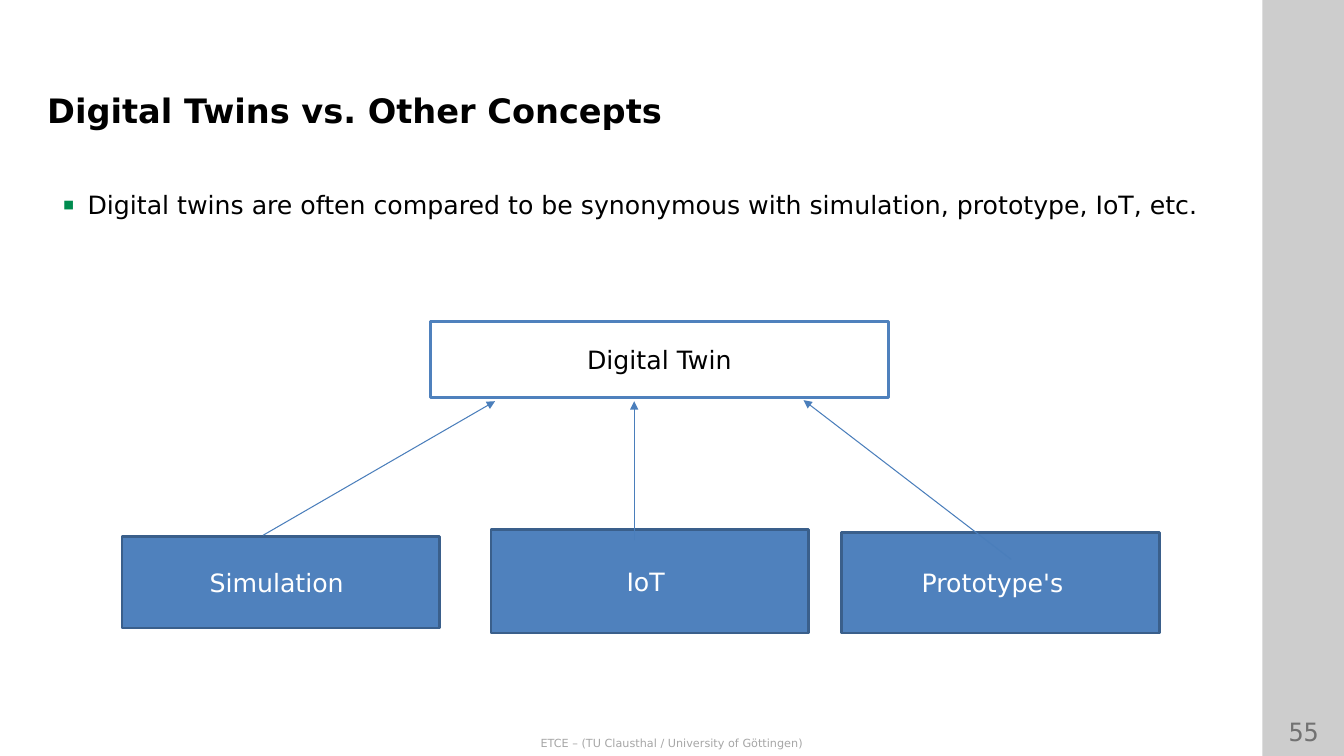
from pptx import Presentation
from pptx.dml.color import RGBColor
from pptx.enum.shapes import MSO_CONNECTOR, MSO_SHAPE
from pptx.enum.text import MSO_ANCHOR, PP_ALIGN
from pptx.oxml.ns import qn
from pptx.util import Pt
from lxml import etree

PX = 9144
RECTANGLE = MSO_SHAPE.RECTANGLE
STRAIGHT = MSO_CONNECTOR.STRAIGHT
TOP, MIDDLE = MSO_ANCHOR.TOP, MSO_ANCHOR.MIDDLE
LEFT, CENTER = PP_ALIGN.LEFT, PP_ALIGN.CENTER
SANS, MONO = "DejaVu Sans", "DejaVu Sans Mono"
BLUE, DARK_BLUE, ARROW_BLUE = "4F81BD", "3A5F8B", "4A7EBB"


def color(value):
    return RGBColor.from_string(value)


def lengths(values):
    return [value * PX for value in values]


def add_xml(parent, tag, **attributes):
    return etree.SubElement(parent, qn(tag), attributes)


def add_box(slide, box, fill, line=None):
    shape = slide.shapes.add_shape(RECTANGLE, *lengths(box))
    shape.shadow.inherit = False
    shape.fill.solid()
    shape.fill.fore_color.rgb = color(fill)
    if line:
        shape.line.color.rgb = color(line)
        shape.line.width = Pt(2)
    else:
        shape.line.fill.background()
    return shape


def write(shape, text, size, text_color, bold=False, font=SANS,
          align=CENTER, anchor=TOP, insets=(10, 5, 10, 5)):
    frame = shape.text_frame
    left, top, right, bottom = lengths(insets)
    frame_format = {"word_wrap": True, "vertical_anchor": anchor,
                    "margin_left": left, "margin_top": top,
                    "margin_right": right, "margin_bottom": bottom}
    for name, value in frame_format.items():
        setattr(frame, name, value)
    paragraph = frame.paragraphs[0]
    paragraph.alignment = align
    run = paragraph.add_run()
    run.text = text
    font_format = {"size": Pt(size), "name": font, "bold": bold}
    for name, value in font_format.items():
        setattr(run.font, name, value)
    run.font.color.rgb = color(text_color)
    return paragraph


def add_text(slide, box, text, size, text_color, **options):
    shape = slide.shapes.add_textbox(*lengths(box))
    return write(shape, text, size, text_color, **options)


def add_band(slide, box):
    band = add_box(slide, box, "000000")
    fill_color = band.fill._xPr.find(".//" + qn("a:srgbClr"))
    add_xml(fill_color, "a:alpha", val="10000")


def add_sidebar(slide, box, number):
    left, top, width, height = box
    add_band(slide, box)
    add_text(slide, (left, top + height - 44, width, 44), number, 18,
             "808080", font=MONO)
    add_band(slide, box)


def add_footer(slide, box, text):
    add_text(slide, box, text, 8, "A6A6A6")


def add_title(slide, box, text):
    add_text(slide, box, text, 24, "000000", bold=True, align=LEFT)


def add_bullet_text(slide, box, text):
    paragraph = add_text(slide, box, text, 18, "000000", align=LEFT,
                         insets=(10, 36, 10, 5))
    properties = paragraph._p.get_or_add_pPr()
    properties.set("marL", str(24 * PX))
    properties.set("indent", str(-24 * PX))
    bullet_color = add_xml(properties, "a:buClr")
    add_xml(bullet_color, "a:srgbClr", val="008C4F")
    add_xml(properties, "a:buSzPct", val="45000")
    add_xml(properties, "a:buFont", typeface=SANS)
    add_xml(properties, "a:buChar", char="■")


def add_arrow(slide, start, end):
    arrow = slide.shapes.add_connector(STRAIGHT, *lengths(start + end))
    arrow.line.color.rgb = color(ARROW_BLUE)
    arrow.line.width = Pt(0.75)
    add_xml(arrow.line._get_or_add_ln(), "a:tailEnd", type="triangle")
    add_xml(arrow._element.spPr, "a:effectLst")


def add_concept_diagram(slide, box):
    left, top, width, height = box
    concepts = [
        ("Simulation", (0, 213, 315, 91), 18, (140, 212), (370, 79)),
        ("IoT", (366, 206, 315, 103), 18, (508, 217), (508, 79)),
        ("Prototype's", (714, 209, 315, 100), 26, (882, 236), (676, 78)),
    ]
    for label, (x, y, box_width, box_height), right_inset, _, _ in concepts:
        shape = add_box(slide, (left + x, top + y, box_width, box_height),
                        BLUE, DARK_BLUE)
        write(shape, label, 18, "FFFFFF", anchor=MIDDLE,
              insets=(10, 5, right_inset, 5))
    for *_, start, end in concepts:
        add_arrow(slide, (left + start[0], top + start[1]),
                  (left + end[0], top + end[1]))
    twin = add_box(slide, (left + 306, top, 454, 75), "FFFFFF", BLUE)
    write(twin, "Digital Twin", 18, "000000", anchor=MIDDLE)


def main():
    presentation = Presentation()
    presentation.slide_width, presentation.slide_height = lengths((1333, 750))
    slide = presentation.slides.add_slide(presentation.slide_layouts[6])
    add_sidebar(slide, (1252, 0, 82, 750), "55")
    add_footer(slide, (0, 726, 1333, 23),
               "ETCE – (TU Clausthal / University of Göttingen)")
    add_concept_diagram(slide, (121, 319, 1029, 309))
    add_title(slide, (37, 84, 1176, 55), "Digital Twins vs. Other Concepts")
    add_bullet_text(slide, (53, 152, 1175, 550),
                    "Digital twins are often compared to be synonymous "
                    "with simulation, prototype, IoT, etc.")
    presentation.save("out.pptx")


if __name__ == "__main__":
    main()
